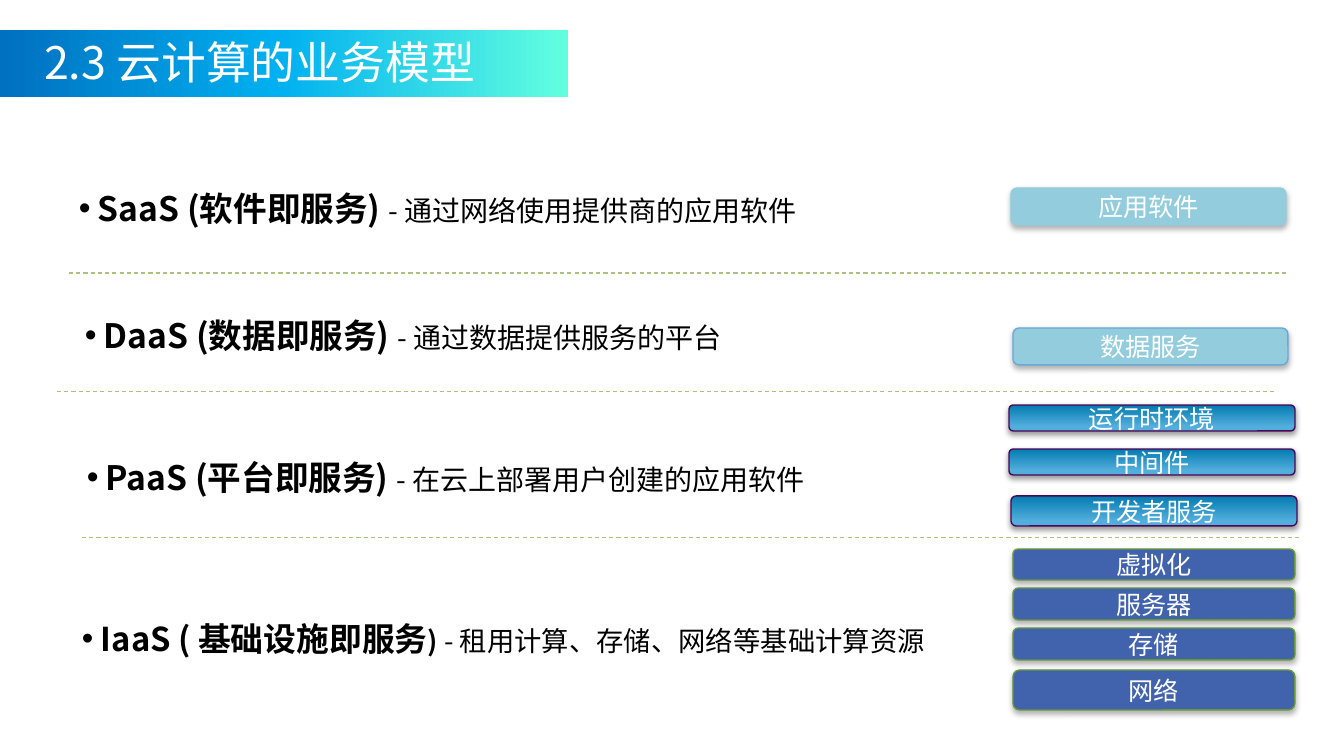
import pptx
import pptx.util
import pptx.oxml
import pptx.oxml.ns
import pptx.dml.color
import pptx.enum.dml
import pptx.enum.shapes
import pptx.enum.text

PX = 914400 / 100.8
FONT = "Noto Sans CJK SC"
NS = pptx.oxml.ns.nsdecls("a")
COLORS = {
    "white": "FFFFFF", "black": "000000", "divider": "A9C37C",
    "app": "93CDDD", "data_line": "6AA8D9",
    "platform_top": "037BB1", "platform_low": "52AEDC", "platform_line": "4C0657",
    "infra": "4163AD", "infra_line": "689739",
    "band_left": "0070C0", "band_mid": "00B0F0", "band_right": "62FFDF",
}
RGB = {name: pptx.dml.color.RGBColor.from_string(h) for name, h in COLORS.items()}


def add_run(p, text, size, color, bold=False):
    r = p.add_run()
    r.text = text
    r.font.size = pptx.util.Pt(size)
    r.font.bold = bold
    r.font.name = FONT
    r.font.color.rgb = RGB[color]
    r.font._element.find(pptx.oxml.ns.qn("a:latin")).addnext(
        pptx.oxml.parse_xml(f'<a:ea {NS} typeface="{FONT}"/>'))


def set_gradient(sp, stops, degrees):
    sp.fill.gradient()
    grad = sp._element.spPr.find(pptx.oxml.ns.qn("a:gradFill"))
    for child in list(grad):
        grad.remove(child)
    gs = "".join(f'<a:gs pos="{pos * 1000}"><a:srgbClr val="{COLORS[name]}"/></a:gs>'
                 for pos, name in stops)
    grad.append(pptx.oxml.parse_xml(f"<a:gsLst {NS}>{gs}</a:gsLst>"))
    grad.append(pptx.oxml.parse_xml(f'<a:lin {NS} ang="{degrees * 60000}" scaled="0"/>'))


prs = pptx.Presentation()
prs.slide_width, prs.slide_height = round(1344 * PX), round(756 * PX)
s = prs.slides.add_slide(prs.slide_layouts[5])

# Title on its gradient band
title = s.shapes.title
title.left, title.top, title.width, title.height = (round(v * PX) for v in (34, 30, 498, 65))
tf = title.text_frame
tf.word_wrap = True
tf.auto_size = pptx.enum.text.MSO_AUTO_SIZE.NONE
tf.vertical_anchor = pptx.enum.text.MSO_ANCHOR.TOP
p = tf.paragraphs[0]
p.alignment = pptx.enum.text.PP_ALIGN.LEFT
add_run(p, "2.3 云计算的业务模型", 32, "white")

band = s.shapes.add_shape(pptx.enum.shapes.MSO_SHAPE.RECTANGLE,
                          *(round(v * PX) for v in (-1, 30, 569, 67)))
band.shadow.inherit = False
band.line.fill.background()
set_gradient(band, [(0, "band_left"), (49, "band_mid"), (100, "band_right")], 0)
title._element.addprevious(band._element)

# Service models: left, top, width, height, runs of (text, size, bold)
models = [
    (69, 188, 934, 41, [("SaaS (软件即服务) ", 24, True),
                        ("- 通过网络使用提供商的应用软件", 20, False)]),
    (75, 315, 934, 96, [("DaaS (数据即服务) ", 24, True),
                        ("- 通过数据提供服务的平台", 20, False)]),
    (77, 457, 957, 99, [("PaaS (平台即服务) ", 24, True),
                        ("- 在云上部署用户创建的应用软件", 20, False)]),
    (75, 619, 919, 48, [("IaaS ( 基础设施即服务", 23.4, True), (") ", 19.5, True),
                        ("- 租用计算、存储、网络等基础计算资源", 19.5, False)]),
]
for *box, runs in models:
    tf = s.shapes.add_textbox(*(round(v * PX) for v in box)).text_frame
    tf.word_wrap = True
    if runs[0][1] < 24:
        tf.margin_left = tf.margin_right = round(7 * PX)
        tf.margin_top = tf.margin_bottom = round(4 * PX)
    p = tf.paragraphs[0]
    p.line_spacing = pptx.util.Pt(25)
    pPr = p._p.get_or_add_pPr()
    pPr.set("marL", str(round(19 * PX)))
    pPr.set("indent", str(round(-19 * PX)))
    pPr.append(pptx.oxml.parse_xml(f'<a:buFont {NS} typeface="Arial"/>'))
    pPr.append(pptx.oxml.parse_xml(f'<a:buChar {NS} char="•"/>'))
    for text, size, bold in runs:
        add_run(p, text, size, "black", bold)

# Dashed dividers
for left, top, right in [(69, 273, 1286), (57, 392, 1276), (82, 538, 1300)]:
    line = s.shapes.add_connector(pptx.enum.shapes.MSO_CONNECTOR.STRAIGHT,
                                  *(round(v * PX) for v in (left, top, right, top)))
    line.line.color.rgb = RGB["divider"]
    line.line.width = pptx.util.Pt(0.75)
    line.line.dash_style = pptx.enum.dml.MSO_LINE.DASH
    line._element.spPr.append(pptx.oxml.parse_xml(f"<a:effectLst {NS}/>"))

# Layer boxes: text, left, top, width, height, fill (None = gradient), line
layers = [
    ("应用软件", 1011, 188, 275, 37, "app", "app"),
    ("数据服务", 1013, 328, 275, 37, "app", "data_line"),
    ("运行时环境", 1009, 405, 286, 26, None, "platform_line"),
    ("中间件", 1009, 449, 286, 26, None, "platform_line"),
    ("开发者服务", 1011, 496, 286, 30, None, "platform_line"),
    ("虚拟化", 1013, 549, 282, 31, "infra", "infra_line"),
    ("服务器", 1013, 588, 282, 32, "infra", "infra_line"),
    ("存储", 1013, 628, 282, 32, "infra", "infra_line"),
    ("网络", 1013, 670, 282, 40, "infra", "infra_line"),
]
for text, left, top, width, height, fill, edge in layers:
    sp = s.shapes.add_shape(pptx.enum.shapes.MSO_SHAPE.ROUNDED_RECTANGLE,
                            *(round(v * PX) for v in (left, top, width, height)))
    if fill:
        sp.fill.solid()
        sp.fill.fore_color.rgb = RGB[fill]
    else:
        set_gradient(sp, [(0, "platform_top"), (83, "platform_low")], 90)
    sp.line.color.rgb = RGB[edge]
    sp.line.width = pptx.util.Pt(1)
    sp.shadow.inherit = False
    alpha = 30000 if fill else 40000
    sp._element.spPr.find(pptx.oxml.ns.qn("a:effectLst")).append(pptx.oxml.parse_xml(
        f'<a:outerShdw {NS} blurRad="50800" dist="25400" dir="5400000" rotWithShape="0">'
        f'<a:srgbClr val="{COLORS["black"]}"><a:alpha val="{alpha}"/></a:srgbClr>'
        '</a:outerShdw>'))
    tf = sp.text_frame
    tf.word_wrap = True
    tf.vertical_anchor = pptx.enum.text.MSO_ANCHOR.MIDDLE
    p = tf.paragraphs[0]
    p.alignment = pptx.enum.text.PP_ALIGN.CENTER
    add_run(p, text, 18, "white")

prs.save("out.pptx")
